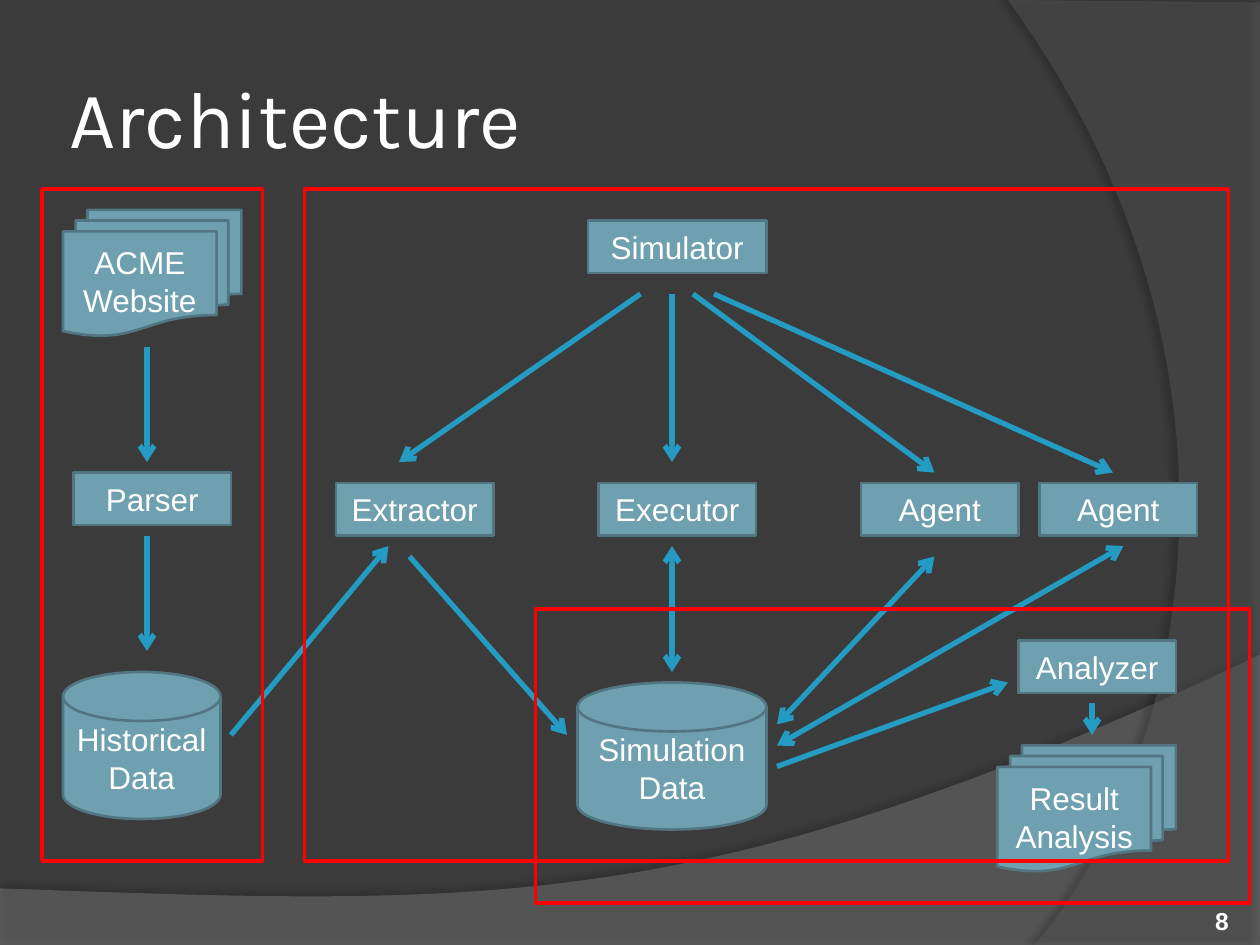
from dataclasses import dataclass

import lxml.etree
import pptx
import pptx.dml.color
import pptx.enum.shapes
import pptx.enum.text
import pptx.oxml.ns
import pptx.util

Cm = pptx.util.Cm
Pt = pptx.util.Pt
Kind = pptx.enum.shapes.MSO_SHAPE
Align = pptx.enum.text.PP_ALIGN
Anchor = pptx.enum.text.MSO_ANCHOR
qn = pptx.oxml.ns.qn


@dataclass(frozen=True)
class Theme:
    background: str = "3B3B3B"
    wave: str = "7F7F7F"
    swoosh: str = "5E5E5E"
    box: str = "6EA0B0"
    outline: str = "517682"
    arrow: str = "239BC2"
    frame: str = "FF0000"
    text: str = "FFFFFF"
    title_font: str = "Karla"
    body_font: str = "Arial"
    title_size: int = 46
    body_size: int = 18
    number_size: int = 14


@dataclass(frozen=True)
class Node:
    label: str
    left: int
    top: int
    width: int = 15
    height: int = 5
    kind: Kind = Kind.RECTANGLE


@dataclass(frozen=True)
class Arrow:
    start: tuple[int, int]
    end: tuple[int, int]
    both_ways: bool = False


@dataclass(frozen=True)
class Backdrop:
    corners: list[tuple[float, float]]
    controls: list[tuple[float, float]]
    color: str
    opacity: int
    shadow_opacity: int
    shadow_distance: float
    shadow_angle: int


THEME = Theme()
BACKDROPS = [
    Backdrop([(0, 17.91), (0, 19.08), (25.4, 19.08), (25.4, 13.2)],
             [(14.2, 18.52), (9.93, 18.26)], THEME.wave, 45, 35, 3.5, 270),
    Backdrop([(20.32, 0), (25.4, 0.05), (25.4, 19.05), (20.85, 19.05)],
             [(23.75, 15.72), (25.86, 7.62)], THEME.swoosh, 40, 45, 4, 180),
]
DOCUMENTS = Kind.FLOWCHART_MULTIDOCUMENT
STORE = Kind.FLOWCHART_MAGNETIC_DISK
NODES = [
    Node("ACME Website", 6, 20, 17, 12, DOCUMENTS),
    Node("Parser", 7, 45),
    Node("Historical Data", 6, 64, 15, 14, STORE),
    Node("Extractor", 32, 46),
    Node("Executor", 57, 46),
    Node("Agent", 82, 46),
    Node("Agent", 99, 46),
    Node("Simulator", 56, 21, 17),
    Node("Analyzer", 97, 61),
    Node("Result Analysis", 95, 71, 17, 12, DOCUMENTS),
    Node("Simulation Data", 55, 65, 18, 14, STORE),
]
ARROWS = [
    Arrow((14, 33), (14, 44)),
    Arrow((14, 51), (14, 62)),
    Arrow((22, 70), (37, 52)),
    Arrow((39, 53), (54, 70)),
    Arrow((61, 28), (38, 44)),
    Arrow((64, 28), (64, 44)),
    Arrow((66, 28), (89, 45)),
    Arrow((68, 28), (106, 45)),
    Arrow((64, 52), (64, 64), True),
    Arrow((89, 53), (74, 69), True),
    Arrow((107, 52), (74, 71), True),
    Arrow((74, 73), (96, 65)),
    Arrow((104, 67), (104, 70)),
]
FRAMES = [(4, 18, 21, 64), (29, 18, 88, 64), (51, 58, 68, 28)]


def grid(*steps: float) -> list[int]:
    return [Cm(step * 2.54 / 12) for step in steps]


def rgb(color: str) -> pptx.dml.color.RGBColor:
    return pptx.dml.color.RGBColor.from_string(color)


def write(frame, text: str, font: str, size: int, align: Align, anchor: Anchor,
          bold: bool = False) -> None:
    frame.word_wrap = True
    frame.vertical_anchor = anchor
    para = frame.paragraphs[0]
    para.text = text
    para.alignment = align
    para.font.name = font
    para.font.size = Pt(size)
    para.font.bold = bold
    para.font.color.rgb = rgb(THEME.text)


def set_insets(frame, inset: int) -> None:
    frame.margin_left = frame.margin_right = inset
    frame.margin_top = frame.margin_bottom = inset


def draw_backdrop(page, backdrop: Backdrop, steps: int = 60) -> None:
    curve = [backdrop.corners[-1], *backdrop.controls, backdrop.corners[0]]
    points = list(backdrop.corners)
    for step in range(1, steps):
        t = step / steps
        weights = ((1 - t) ** 3, 3 * t * (1 - t) ** 2, 3 * t * t * (1 - t), t ** 3)
        points.append(tuple(sum(weight * point[axis] for weight, point in zip(weights, curve))
                            for axis in (0, 1)))
    start, *rest = [(Cm(x), Cm(y)) for x, y in points]
    builder = page.shapes.build_freeform(*start)
    builder.add_line_segments(rest)
    shape = builder.convert_to_shape()
    shape.fill.solid()
    shape.fill.fore_color.rgb = rgb(backdrop.color)
    shape.line.fill.background()
    shape.shadow.inherit = False
    properties = shape.element.spPr
    fill_color = properties.find(qn("a:solidFill")).find(qn("a:srgbClr"))
    lxml.etree.SubElement(fill_color, qn("a:alpha"), val=str(backdrop.opacity * 1000))
    shadow = lxml.etree.SubElement(
        properties.find(qn("a:effectLst")), qn("a:outerShdw"), blurRad=str(Pt(4)),
        dist=str(Pt(backdrop.shadow_distance)), dir=str(backdrop.shadow_angle * 60000),
        rotWithShape="0")
    shadow_color = lxml.etree.SubElement(shadow, qn("a:srgbClr"), val="000000")
    lxml.etree.SubElement(shadow_color, qn("a:alpha"), val=str(backdrop.shadow_opacity * 1000))


def draw_node(page, node: Node) -> None:
    shape = page.shapes.add_shape(
        node.kind, *grid(node.left, node.top, node.width, node.height))
    shape.shadow.inherit = False
    shape.fill.solid()
    shape.fill.fore_color.rgb = rgb(THEME.box)
    shape.line.color.rgb = rgb(THEME.outline)
    shape.line.width = Pt(1.5)
    write(shape.text_frame, node.label, THEME.body_font, THEME.body_size,
          Align.CENTER, Anchor.MIDDLE)


def draw_arrow(page, arrow: Arrow) -> None:
    connector = page.shapes.add_connector(
        pptx.enum.shapes.MSO_CONNECTOR.STRAIGHT, *grid(*arrow.start, *arrow.end))
    connector.line.color.rgb = rgb(THEME.arrow)
    connector.line.width = Pt(3)
    properties = connector.element.spPr
    line = properties.find(qn("a:ln"))
    for end in ("a:headEnd", "a:tailEnd") if arrow.both_ways else ("a:tailEnd",):
        lxml.etree.SubElement(line, qn(end), type="arrow")
    lxml.etree.SubElement(properties, qn("a:effectLst"))


def draw_frame(page, area: tuple[int, int, int, int]) -> None:
    shape = page.shapes.add_shape(Kind.RECTANGLE, *grid(*area))
    shape.shadow.inherit = False
    shape.fill.background()
    shape.line.color.rgb = rgb(THEME.frame)
    shape.line.width = Pt(2)


deck = pptx.Presentation()
deck.slide_width, deck.slide_height = Cm(25.4), Cm(19.05)
page = deck.slides.add_slide(deck.slide_layouts[5])
page.background.fill.solid()
page.background.fill.fore_color.rgb = rgb(THEME.background)

for backdrop in BACKDROPS:
    draw_backdrop(page, backdrop)

title = page.shapes.title
title.element.getparent().append(title.element)
title.left, title.top, title.width, title.height = Cm(1.27), Cm(0.76), Cm(20.75), Cm(3.18)
set_insets(title.text_frame, Cm(0.13))
title.text_frame.auto_size = pptx.enum.text.MSO_AUTO_SIZE.NONE
write(title.text_frame, "Architecture", THEME.title_font, THEME.title_size,
      Align.LEFT, Anchor.MIDDLE)

for node in NODES:
    draw_node(page, node)
for arrow in ARROWS:
    draw_arrow(page, arrow)
for area in FRAMES:
    draw_frame(page, area)

number = page.shapes.add_textbox(Cm(22.66), Cm(17.83), Cm(2.11), Cm(1.02))
set_insets(number.text_frame, 0)
write(number.text_frame, "8", THEME.body_font, THEME.number_size,
      Align.RIGHT, Anchor.BOTTOM, bold=True)

deck.save("out.pptx")
